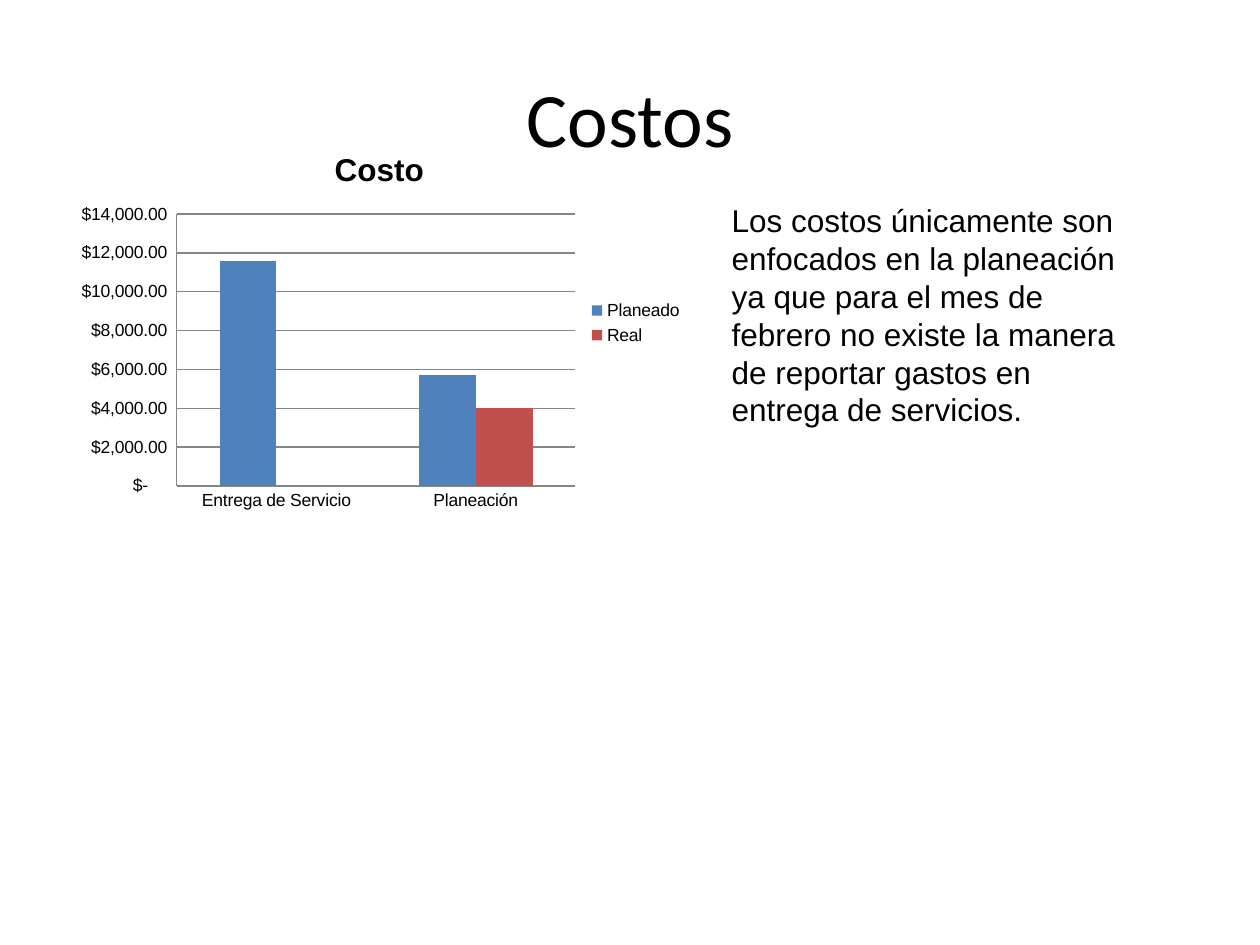
from lxml import etree
from pptx import Presentation
from pptx.chart.data import CategoryChartData
from pptx.dml.color import RGBColor
from pptx.enum.chart import XL_CHART_TYPE as CT, XL_LEGEND_POSITION as LP, XL_TICK_MARK as TM
from pptx.enum.text import MSO_ANCHOR as ANCHOR, PP_ALIGN as ALIGN
from pptx.oxml.ns import qn
from pptx.util import Pt

BLACK = RGBColor(0, 0, 0)
GRAY = RGBColor(0x86, 0x86, 0x86)
BLUE = RGBColor(0x4F, 0x81, 0xBD)
RED = RGBColor(0xC0, 0x50, 0x4D)
MONEY = '_-"$"* #,##0.00_-;\\-"$"* #,##0.00_-;_-"$"* "-"??_-;_-@_-'


def write(tf, text, size=18, font="Arial", align=ALIGN.LEFT, anchor=ANCHOR.TOP, bold=False):
    tf.word_wrap = True
    tf.vertical_anchor = anchor
    p = tf.paragraphs[0]
    p.alignment = align
    r = p.add_run()
    r.text = text
    f = r.font
    f.size, f.name, f.bold = Pt(size), font, bold
    f.color.rgb = BLACK


def add_title(slide, x, y, w, h):
    sp = slide.shapes.title
    sp.left, sp.top, sp.width, sp.height = Pt(x), Pt(y), Pt(w), Pt(h)
    write(sp.text_frame, "Costos", size=44, font="Calibri",
          align=ALIGN.CENTER, anchor=ANCHOR.MIDDLE)


def add_comment(slide, x, y, w, h):
    sp = slide.shapes.add_textbox(Pt(x), Pt(y), Pt(w), Pt(h))
    write(sp.text_frame, "Los costos únicamente son enfocados en la planeación ya que "
          "para el mes de febrero no existe la manera de reportar gastos en "
          "entrega de servicios.")


def set_plot_layout(chart, **fractions):
    """Fix the inner plot area as fractions of the chart box."""
    area = chart._chartSpace.chart.plotArea
    for old in area.findall(qn("c:layout")):
        area.remove(old)
    layout = etree.Element(qn("c:layout"))
    area.insert(0, layout)
    manual = etree.SubElement(layout, qn("c:manualLayout"))
    settings = {"layoutTarget": "inner", "xMode": "edge", "yMode": "edge", **fractions}
    for tag, val in settings.items():
        etree.SubElement(manual, qn("c:" + tag)).set("val", str(val))


def add_cost_chart(slide, x, y, w, h):
    data = CategoryChartData()
    data.categories = ["Entrega de Servicio", "Planeación"]
    data.add_series("Planeado", (11600, 5700))
    data.add_series("Real ", (0, 4000))
    chart = slide.shapes.add_chart(CT.COLUMN_CLUSTERED, Pt(x), Pt(y), Pt(w), Pt(h), data).chart
    chart.font.size, chart.font.name = Pt(10), "Arial"
    chart.font.color.rgb = BLACK

    # Title and legend
    chart.has_title = True
    write(chart.chart_title.text_frame, "Costo", align=ALIGN.CENTER, bold=True)
    chart.chart_title.include_in_layout = False
    chart.has_legend = True
    chart.legend.position = LP.RIGHT
    chart.legend.include_in_layout = False

    # Columns
    plot = chart.plots[0]
    plot.gap_width, plot.overlap, plot.vary_by_categories = 150, 0, False
    for series, color in zip(plot.series, (BLUE, RED)):
        series.format.fill.solid()
        series.format.fill.fore_color.rgb = color

    # Axes
    values = chart.value_axis
    values.minimum_scale, values.maximum_scale, values.major_unit = 0, 14000, 2000
    values.tick_labels.number_format = MONEY
    values.tick_labels.number_format_is_linked = False
    values.has_major_gridlines = True
    for axis in (chart.category_axis, values):
        axis.major_tick_mark = axis.minor_tick_mark = TM.NONE
    for part in (chart.category_axis, values, values.major_gridlines):
        part.format.line.color.rgb = GRAY
        part.format.line.width = Pt(0.75)
    set_plot_layout(chart, x=0.18, y=0.22, w=0.63, h=0.7)


prs = Presentation()
prs.slide_width, prs.slide_height = Pt(720), Pt(540)
slide = prs.slides.add_slide(prs.slide_layouts[5])
add_title(slide, 36, 21.6, 648, 90)
add_comment(slide, 411, 111.6, 249, 138)
add_cost_chart(slide, 36, 73.5, 361.5, 222)
prs.save("out.pptx")
